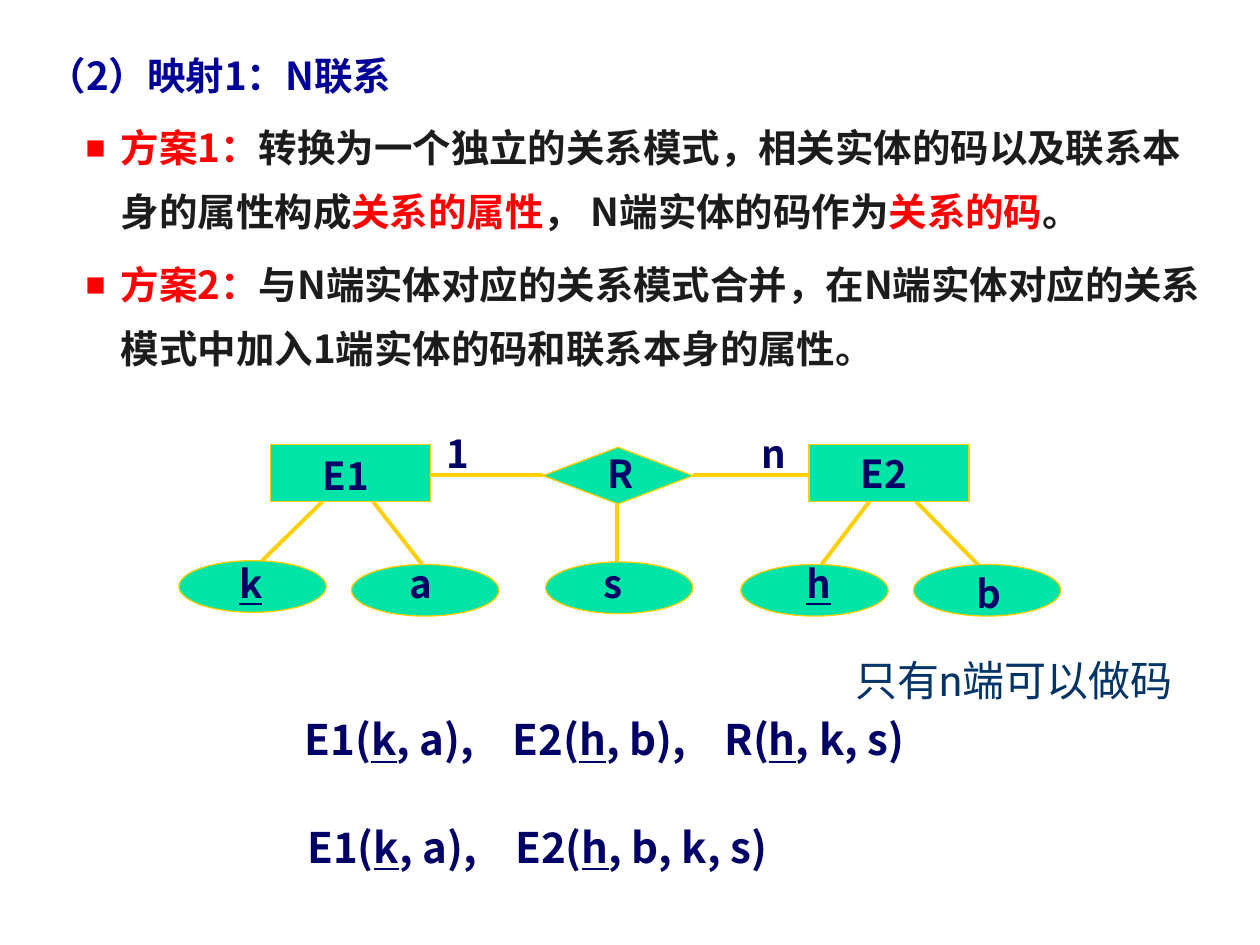
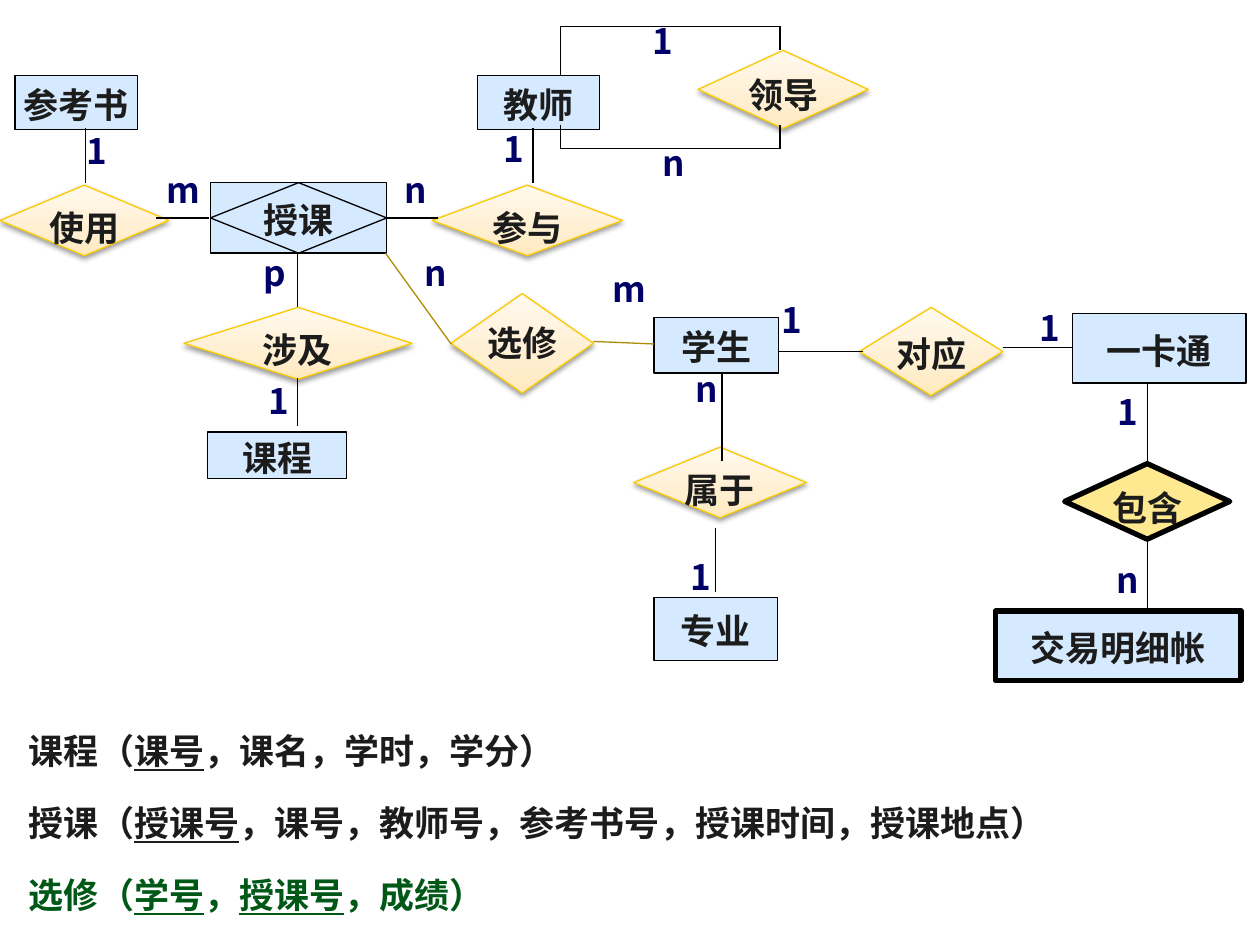
from copy import deepcopy
from dataclasses import dataclass
from itertools import pairwise
from typing import NamedTuple

from lxml.etree import SubElement
from pptx import Presentation
from pptx.dml.color import RGBColor
from pptx.enum.shapes import MSO_CONNECTOR as Connector, MSO_SHAPE as Preset
from pptx.enum.text import MSO_ANCHOR as Anchor, PP_ALIGN as Align
from pptx.oxml.ns import qn
from pptx.util import Pt

PX = 9144  # 100 px to the inch


@dataclass(frozen=True)
class Theme:
    font: str = "Noto Sans CJK SC"
    note_font: str = "Roboto"
    title: str = "000099"
    ink: str = "1C1C1C"
    navy: str = "000066"
    red: str = "FF0000"
    green: str = "005817"
    note: str = "003366"
    black: str = "000000"
    mint: str = "00E4A8"
    gold: str = "FFCF01"
    olive: str = "AD8C01"
    sky: str = "D5E9FF"
    amber: str = "FFE990"
    cream_line: str = "FACB00"
    cream: tuple = ((0, "FFE9BD"), (0.35, "FFEFD1"), (1, "FFF9EE"))
    body_size: int = 22
    formula_size: int = 24
    model_size: int = 20


THEME = Theme()


class Box(NamedTuple):
    left: int
    top: int
    width: int
    height: int

    def at(self, x, y, width, height):
        return Box(self.left + x, self.top + y, width, height)

    def emu(self):
        return [length * PX for length in self]


class Style(NamedTuple):
    """Type of one paragraph; pitch is the line height in ems."""
    size: int
    color: str
    pitch: float = 1.22
    bold: bool = True
    font: str = THEME.font
    align: Align = Align.LEFT


LABEL = Style(THEME.body_size, THEME.navy)
MODEL_LABEL = Style(THEME.model_size, THEME.navy)
NODE = Style(THEME.model_size, THEME.ink, 1.3, align=Align.CENTER)
FORMULA = Style(THEME.formula_size, THEME.navy, 1.31)
TITLE = Style(THEME.body_size, THEME.title, 1.43)
BODY = Style(THEME.body_size, THEME.ink, 1.66)
RELATION = Style(THEME.model_size, THEME.ink, 1.56)
NOTE = Style(THEME.formula_size, THEME.note, bold=False,
             font=THEME.note_font, align=Align.CENTER)


def rgb(color):
    return RGBColor.from_string(color)


def write(para, text, style, mark_color=None):
    """Fill a paragraph; parts between underscores are recoloured or underlined."""
    para.alignment = style.align
    para.line_spacing = Pt(round(style.size * style.pitch, 1))
    for index, part in enumerate(text.split("_")):
        if not part:
            continue
        marked = index % 2 == 1
        span = para.add_run()
        span.text = part
        font = span.font
        font.size, font.bold, font.name = Pt(style.size), style.bold, style.font
        font.color.rgb = rgb(mark_color if marked and mark_color else style.color)
        if marked and not mark_color:
            font.underline = True
        SubElement(font._element, qn("a:ea"), typeface=THEME.font)


def clear_insets(frame):
    frame.margin_left = frame.margin_right = frame.margin_top = frame.margin_bottom = 0
    frame.word_wrap = True


def add_frame(page, box):
    frame = page.shapes.add_textbox(*box.emu()).text_frame
    clear_insets(frame)
    return frame


def add_text(page, box, text, style):
    para = add_frame(page, box).paragraphs[0]
    write(para, text, style)
    return para


def add_labels(page, box, labels, style):
    for text, x, y in labels:
        add_text(page, box.at(x, y, 60, 40), text, style)


def add_node(page, preset, box, fill, line, width=0.75, text="", anchor=Anchor.MIDDLE):
    node = page.shapes.add_shape(preset, *box.emu())
    node.shadow.inherit = False
    if fill is None:
        node.fill.background()
    elif fill != THEME.cream:
        node.fill.solid()
        node.fill.fore_color.rgb = rgb(fill)
    node.line.color.rgb = rgb(line)
    node.line.width = Pt(width)
    if text:
        clear_insets(node.text_frame)
        node.text_frame.vertical_anchor = anchor
        write(node.text_frame.paragraphs[0], text, NODE)
    return node


def add_relationship(page, box, text):
    """Cream diamond with a gradient and a soft shadow."""
    node = add_node(page, Preset.DIAMOND, box, THEME.cream, THEME.cream_line,
                    text=text, anchor=Anchor.TOP)
    node.fill.gradient()
    node.fill.gradient_angle = 90
    properties = node.element.spPr
    stops = properties.find(qn("a:gradFill")).find(qn("a:gsLst"))
    stops.insert(1, deepcopy(stops[0]))
    for stop, (position, color) in zip(node.fill.gradient_stops, THEME.cream):
        stop.position = position
        stop.color.rgb = rgb(color)
    shadow = SubElement(properties.find(qn("a:effectLst")), qn("a:outerShdw"),
                        blurRad=str(Pt(3.1)), dist=str(Pt(1.6)), dir="5400000",
                        rotWithShape="0")
    shade = SubElement(shadow, qn("a:srgbClr"), val=THEME.black)
    SubElement(shade, qn("a:alpha"), val="38000")


def add_route(page, box, points, color, width=0.75):
    """Join the points, one connector for each pair."""
    for (x1, y1), (x2, y2) in pairwise(points):
        ends = (box.left + x1, box.top + y1, box.left + x2, box.top + y2)
        line = page.shapes.add_connector(Connector.STRAIGHT, *(end * PX for end in ends))
        line.line.color.rgb = rgb(color)
        line.line.width = Pt(width)
        SubElement(line.element.spPr, qn("a:effectLst"))


def add_bullet(para):
    properties = para._p.get_or_add_pPr()
    properties.set("marL", str(58 * PX))
    properties.set("indent", str(-28 * PX))
    SubElement(SubElement(properties, qn("a:buClr")), qn("a:srgbClr"), val=THEME.red)
    SubElement(properties, qn("a:buSzPct"), val="55000")
    SubElement(properties, qn("a:buFont"), typeface=THEME.note_font)
    SubElement(properties, qn("a:buChar"), char="■")


def mapping_rules(page, box):
    frame = add_frame(page, box)
    write(frame.paragraphs[0], "（2）映射1：N联系", TITLE)
    for rule in (
        "_方案1：_转换为一个独立的关系模式，相关实体的码以及联系本身的属性构成"
        "_关系的属性_， N端实体的码作为_关系的码_。",
        "_方案2：_与N端实体对应的关系模式合并，在N端实体对应的关系模式中"
        "加入1端实体的码和联系本身的属性。",
    ):
        para = frame.add_paragraph()
        write(para, rule, BODY, THEME.red)
        para.space_before = Pt(5)
        add_bullet(para)


def one_to_many_diagram(page, box):
    routes = (((114, 62), (66, 109)), ((154, 62), (193, 112)), ((548, 62), (510, 112)),
              ((585, 62), (635, 113)), ((289, 41), (200, 41)), ((500, 41), (408, 41)),
              ((348, 63), (348, 110)))
    for route in routes:
        add_route(page, box, route, THEME.gold, 2.25)
    for x in (73, 500):
        add_node(page, Preset.RECTANGLE, box.at(x, 17, 127, 45), THEME.mint, THEME.gold)
    add_node(page, Preset.DIAMOND, box.at(289, 19, 119, 45), THEME.mint, THEME.gold)
    for x, y in ((0, 109), (137, 112), (291, 110), (446, 112), (583, 112)):
        add_node(page, Preset.OVAL, box.at(x, y, 117, 41), THEME.mint, THEME.gold)
    add_labels(page, box, (
        ("E1", 114, 22), ("R", 340, 21), ("E2", 541, 21), ("1", 212, 5), ("n", 462, 5),
        ("_k_", 48, 108), ("a", 183, 108), ("s", 337, 108), ("_h_", 498, 108),
        ("b", 633, 116)), LABEL)


def formulas(page, box):
    """Relation schemas, with tab stops lining up the second and third ones."""
    rows = ((0, 0, "E1(_k_, a),\tE2(_h_, b),\tR(_h_, k, s)"),
            (2, 85, "E1(_k_, a),\tE2(_h_, b, k, s)"))
    for x, y, text in rows:
        para = add_text(page, box.at(x, y, box.width, 45), text, FORMULA)
        tabs = SubElement(para._p.get_or_add_pPr(), qn("a:tabLst"))
        for stop in (165, 333):
            SubElement(tabs, qn("a:tab"), pos=str(stop * PX), algn="l")


def teaching_model(page, box):
    entities = (("", 167, 145, 140, 56), ("课程", 165, 343, 110, 37),
                ("专业", 519, 474, 98, 50), ("学生", 519, 252, 99, 44),
                ("参考书", 12, 60, 97, 43), ("教师", 379, 60, 97, 43),
                ("一卡通", 851, 249, 138, 55))
    for text, *place in entities:
        add_node(page, Preset.RECTANGLE, box.at(*place), THEME.sky, THEME.black, text=text)
    add_node(page, Preset.DIAMOND, box.at(167, 145, 140, 56), None, THEME.black, text="授课")

    relationships = (("涉及", 146, 244, 181, 57), ("属于", 503, 355, 137, 56),
                     ("对应", 682, 244, 114, 70), ("选修", 358, 233, 113, 79),
                     ("使用", 0, 147, 134, 56), ("参与", 343, 147, 151, 56),
                     ("领导", 554, 40, 135, 62))
    for text, *place in relationships:
        add_relationship(page, box.at(*place), text)

    add_node(page, Preset.RECTANGLE, box.at(790, 485, 195, 55), THEME.sky, THEME.black,
             3, "交易明细帐")
    add_node(page, Preset.DIAMOND, box.at(845, 368, 131, 60), THEME.amber, THEME.black,
             3, "包含", Anchor.TOP)

    routes = (((236, 300), (236, 338)), ((568, 419), (568, 470)), ((796, 276), (851, 276)),
              ((911, 368), (911, 304)), ((911, 426), (911, 485)), ((573, 297), (573, 366)),
              ((685, 279), (618, 279)), ((68, 102), (68, 145)), ((124, 173), (166, 173)),
              ((306, 173), (348, 173)), ((423, 145), (423, 102)), ((236, 201), (236, 244)),
              ((445, 60), (445, 21), (619, 21), (619, 40)),
              ((445, 99), (445, 118), (619, 118), (619, 99)))
    for route in routes:
        add_route(page, box, route, THEME.black)
    for route in (((471, 271), (519, 273)), ((306, 201), (358, 273))):
        add_route(page, box, route, THEME.olive)

    add_labels(page, box, (
        ("1", 69, 102), ("m", 132, 133), ("p", 209, 199), ("1", 213, 301), ("n", 321, 133),
        ("1", 400, 101), ("n", 526, 112), ("1", 518, 15), ("m", 486, 212), ("n", 337, 199),
        ("n", 886, 443), ("1", 548, 440), ("1", 620, 236), ("1", 825, 243), ("1", 887, 309),
        ("n", 552, 291)), MODEL_LABEL)


def relations(page, box):
    frame = add_frame(page, box)
    rows = (("课程（_课号_，课名，学时，学分）", RELATION),
            ("授课（_授课号_，课号，教师号，参考书号，授课时间，授课地点）", RELATION),
            ("选修（_学号_，_授课号_，成绩）", RELATION._replace(color=THEME.green)))
    for index, (text, style) in enumerate(rows):
        para = frame.add_paragraph() if index else frame.paragraphs[0]
        write(para, text, style)
        if index:
            para.space_before = Pt(10)


def mapping_slide(page):
    mapping_rules(page, Box(38, 34, 918, 290))
    one_to_many_diagram(page, Box(142, 336, 700, 153))
    formulas(page, Box(242, 563, 560, 130))
    add_text(page, Box(662, 519, 285, 45), "只有n端可以做码", NOTE)


def model_slide(page):
    teaching_model(page, Box(0, 0, 1000, 550))
    relations(page, Box(23, 569, 943, 165))


def main():
    deck = Presentation()
    deck.slide_width, deck.slide_height = 1000 * PX, 750 * PX
    for build in (mapping_slide, model_slide):
        build(deck.slides.add_slide(deck.slide_layouts[6]))
    deck.save("out.pptx")


if __name__ == "__main__":
    main()
